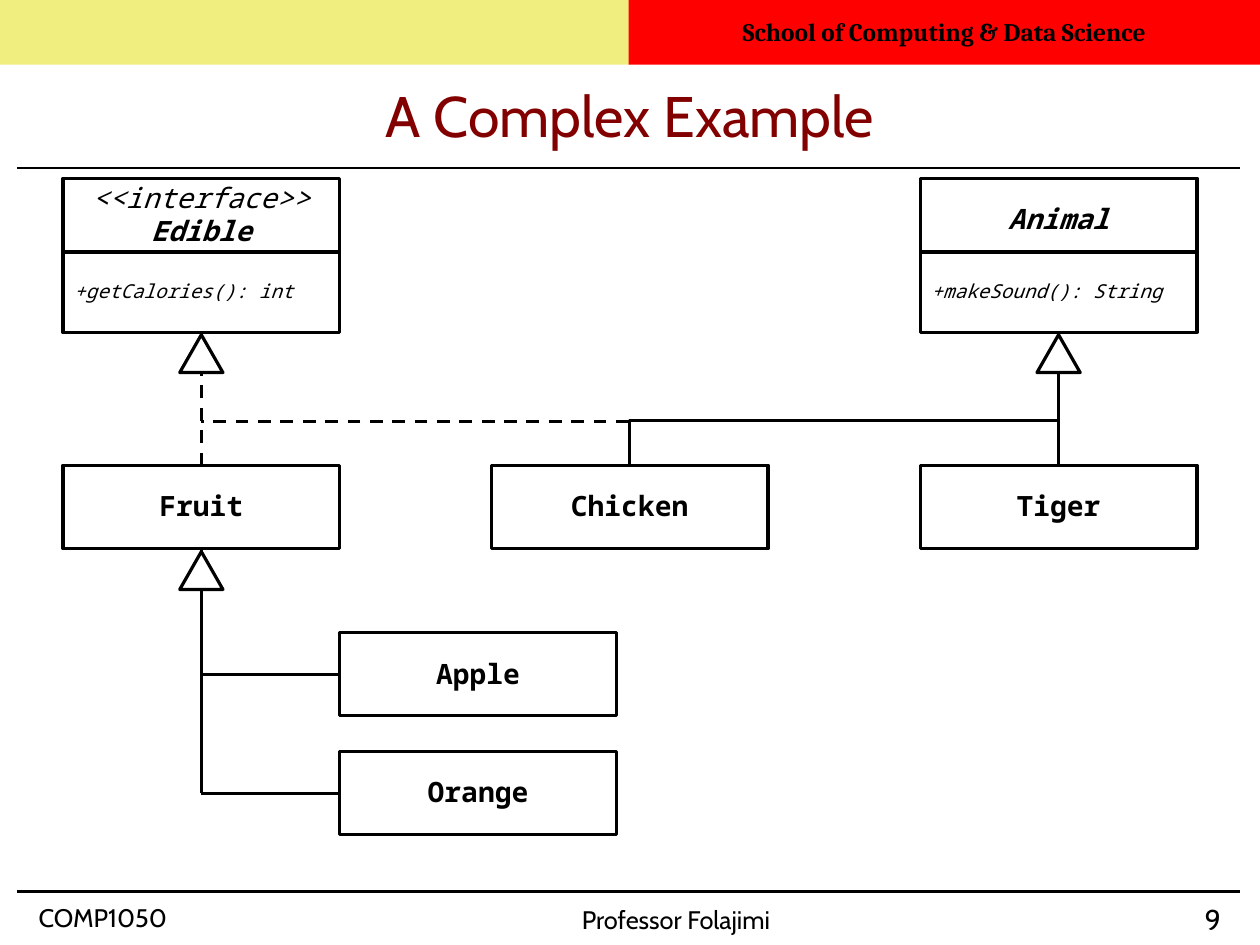
from lxml import etree
from pptx import Presentation
from pptx.dml.color import RGBColor
from pptx.enum import dml, shapes, text
from pptx.oxml.ns import qn
from pptx.util import Cm, Pt

BLACK = RGBColor(0x00, 0x00, 0x00)
WHITE = RGBColor(0xFF, 0xFF, 0xFF)
YELLOW = RGBColor(0xF1, 0xEE, 0x80)
RED = RGBColor(0xFF, 0x00, 0x00)
MAROON = RGBColor(0x82, 0x00, 0x00)

BODY_FONT, BANNER_FONT, CODE_FONT = "Cabin", "Cambria", "Noto Sans Mono"
LEFT, CENTER, RIGHT = text.PP_ALIGN.LEFT, text.PP_ALIGN.CENTER, text.PP_ALIGN.RIGHT

SLIDE_W, SLIDE_H = 28, 21
BOX_W, BOX_H = 6.15, 1.85
COLUMNS = (1.4, 10.92, 20.45)  # left edges of the three class columns


def write(shape, content, first=True, font=BODY_FONT, size=16, color=BLACK,
          bold=False, italic=False, align=LEFT, spacing=0.98,
          anchor=text.MSO_ANCHOR.MIDDLE, insets=None):
    """Put one formatted paragraph into a shape."""
    frame = shape.text_frame
    frame.word_wrap = True
    frame.vertical_anchor = anchor
    if insets is not None:
        (frame.margin_left, frame.margin_top,
         frame.margin_right, frame.margin_bottom) = map(Cm, insets)
    paragraph = frame.paragraphs[0] if first else frame.add_paragraph()
    paragraph.alignment = align
    paragraph.line_spacing = spacing
    run = paragraph.add_run()
    run.text = content
    run.font.name, run.font.size = font, Pt(size)
    run.font.bold, run.font.italic = bold, italic
    run.font.color.rgb = color


def add_block(slide, box, fill=WHITE, outline=True,
              kind=shapes.MSO_SHAPE.RECTANGLE):
    block = slide.shapes.add_shape(kind, *map(Cm, box))
    block.shadow.inherit = False
    block.fill.solid()
    block.fill.fore_color.rgb = fill
    if outline:
        block.line.color.rgb = BLACK
        block.line.width = Pt(2)
    else:
        block.line.fill.background()
    return block


def add_line(slide, start, end, width=2, dashed=False, begin=None, finish=None,
             kind=shapes.MSO_CONNECTOR.STRAIGHT):
    """Draw a line; begin and finish are optional (shape, side) joints."""
    line = slide.shapes.add_connector(kind, *map(Cm, (*start, *end)))
    line.line.color.rgb = BLACK
    line.line.width = Pt(width)
    if dashed:
        line.line.dash_style = dml.MSO_LINE.DASH
    etree.SubElement(line._element.spPr, qn("a:effectLst"))
    if begin:
        line.begin_connect(*begin)
    if finish:
        line.end_connect(*finish)
    return line


def add_elbow(slide, start, end, preset, transform, bend=None, dashed=False):
    """Draw a quarter-turned elbow that leaves its start vertically."""
    (x1, y1), (x2, y2) = start, end
    center_x, center_y = (x1 + x2) / 2, (y1 + y2) / 2
    half_w, half_h = abs(y2 - y1) / 2, abs(x2 - x1) / 2
    elbow = add_line(slide, (center_x - half_w, center_y - half_h),
                     (center_x + half_w, center_y + half_h), dashed=dashed,
                     kind=shapes.MSO_CONNECTOR.ELBOW)
    properties = elbow._element.spPr
    for key, value in transform.items():
        properties.find(qn("a:xfrm")).set(key, value)
    geometry = properties.find(qn("a:prstGeom"))
    geometry.set("prst", preset)
    if bend is not None:
        guides = geometry.find(qn("a:avLst"))
        if guides is None:
            guides = etree.SubElement(geometry, qn("a:avLst"))
        etree.SubElement(guides, qn("a:gd"), name="adj1",
                         fmla=f"val {round(bend * 100000)}")


def add_header(slide, left, top, width, height):
    # Coloured banner, the red half slightly over the yellow one
    banner_h, overlap = 1.44, 0.03
    half = width / 2
    add_block(slide, (left, top, half, banner_h), YELLOW, outline=False)
    school = add_block(slide, (left + half - overlap, top, half + overlap, banner_h),
                       RED, outline=False)
    write(school, "School of Computing & Data Science", font=BANNER_FONT,
          bold=True, align=CENTER)

    # Title and rule
    title = slide.shapes.title
    title.left, title.top = Cm(left + 1.4), Cm(top + 1.5)
    title.width, title.height = Cm(width - 2.8), Cm(1.83)
    write(title, "A Complex Example", size=36, color=MAROON, align=CENTER,
          spacing=1.17, insets=(0, 0, 0, 0))
    add_line(slide, (left + 0.38, top + height),
             (left + width - 0.44, top + height), width=1.5)


def add_footer(slide, left, top, width):
    add_line(slide, (left + 0.38, top), (left + width - 0.44, top), width=1.5)
    for content, x, y, w, size, align in (
            ("COMP1050", 0.86, 0.25, 4.9, 16, LEFT),
            ("Professor Folajimi", 12.93, 0.3, 4.9, 16, LEFT),
            ("9", 25.02, 0.25, 2.11, 18, RIGHT)):
        label = slide.shapes.add_textbox(Cm(left + x), Cm(top + y), Cm(w), Cm(0.71))
        write(label, content, size=size, align=align, spacing=0.93,
              anchor=text.MSO_ANCHOR.TOP, insets=(0, 0.05, 0, 0))


def add_class(slide, left, top, name):
    block = add_block(slide, (left, top, BOX_W, BOX_H))
    write(block, name, font=CODE_FONT, size=17.6, bold=True, align=CENTER)
    return block


def add_abstract_type(slide, left, top, name, method, stereotype=None):
    """Draw a name box over a method box and return the method box."""
    header = add_block(slide, (left, top, BOX_W, 1.64 if stereotype else BOX_H))
    style = dict(font=CODE_FONT, italic=True)
    if stereotype:
        write(header, stereotype, size=17.6, align=CENTER, **style)
    write(header, name, first=not stereotype, size=17.6, bold=True,
          align=CENTER, **style)
    methods = add_block(slide, (left, top + 1.64, BOX_W, 1.79))
    write(methods, method, size=12.1, **style)
    return methods


def add_inheritance_arrow(slide, center, top):
    add_block(slide, (center - 0.48, top + 0.05, 0.96, 0.84),
              kind=shapes.MSO_SHAPE.ISOSCELES_TRIANGLE)


def add_class_diagram(slide, top):
    fruit_x, chicken_x, tiger_x = (left + BOX_W / 2 for left in COLUMNS)
    parent_bottom, class_top = top + 3.43, top + 6.38
    fruit_bottom = class_top + BOX_H

    # Chicken branches to both parents
    chicken_start = (chicken_x, class_top)
    add_elbow(slide, chicken_start, (fruit_x, top + 5.41), "bentConnector2",
              {"rot": "16200000", "flipV": "1"}, dashed=True)
    add_elbow(slide, chicken_start, (tiger_x, parent_bottom), "bentConnector3",
              {"rot": "5400000", "flipH": "1", "flipV": "1"}, bend=0.337)

    # Types
    edible = add_abstract_type(slide, COLUMNS[0], top, "Edible",
                               "+getCalories(): int", "<<interface>>")
    animal = add_abstract_type(slide, COLUMNS[2], top, "Animal",
                               "+makeSound(): String")
    fruit, _, tiger = (
        add_class(slide, left, class_top, name)
        for left, name in zip(COLUMNS, ("Fruit", "Chicken", "Tiger")))

    # Fruit and Tiger rise to their parents
    for child, parent, x, dashed in ((fruit, edible, fruit_x, True),
                                     (tiger, animal, tiger_x, False)):
        add_line(slide, (x, class_top), (x, parent_bottom), dashed=dashed,
                 begin=(child, 0), finish=(parent, 2))
        add_inheritance_arrow(slide, x, parent_bottom)

    # Kinds of fruit hang from one trunk
    kind_left = COLUMNS[0] + BOX_W
    for row, name in enumerate(("Apple", "Orange")):
        kind_top = top + 10.1 + row * 2.64
        kind = add_class(slide, kind_left, kind_top, name)
        middle = kind_top + BOX_H / 2
        add_line(slide, (kind_left, middle), (fruit_x, middle), begin=(kind, 1))
    add_line(slide, (fruit_x, middle), (fruit_x, fruit_bottom), finish=(fruit, 2))
    add_inheritance_arrow(slide, fruit_x, fruit_bottom + 0.02)


def main():
    presentation = Presentation()
    presentation.slide_width, presentation.slide_height = Cm(SLIDE_W), Cm(SLIDE_H)
    slide = presentation.slides.add_slide(presentation.slide_layouts[5])
    add_header(slide, 0, 0, SLIDE_W, 3.73)
    add_class_diagram(slide, 3.96)
    add_footer(slide, 0, 19.81, SLIDE_W)
    presentation.save("out.pptx")


if __name__ == "__main__":
    main()
